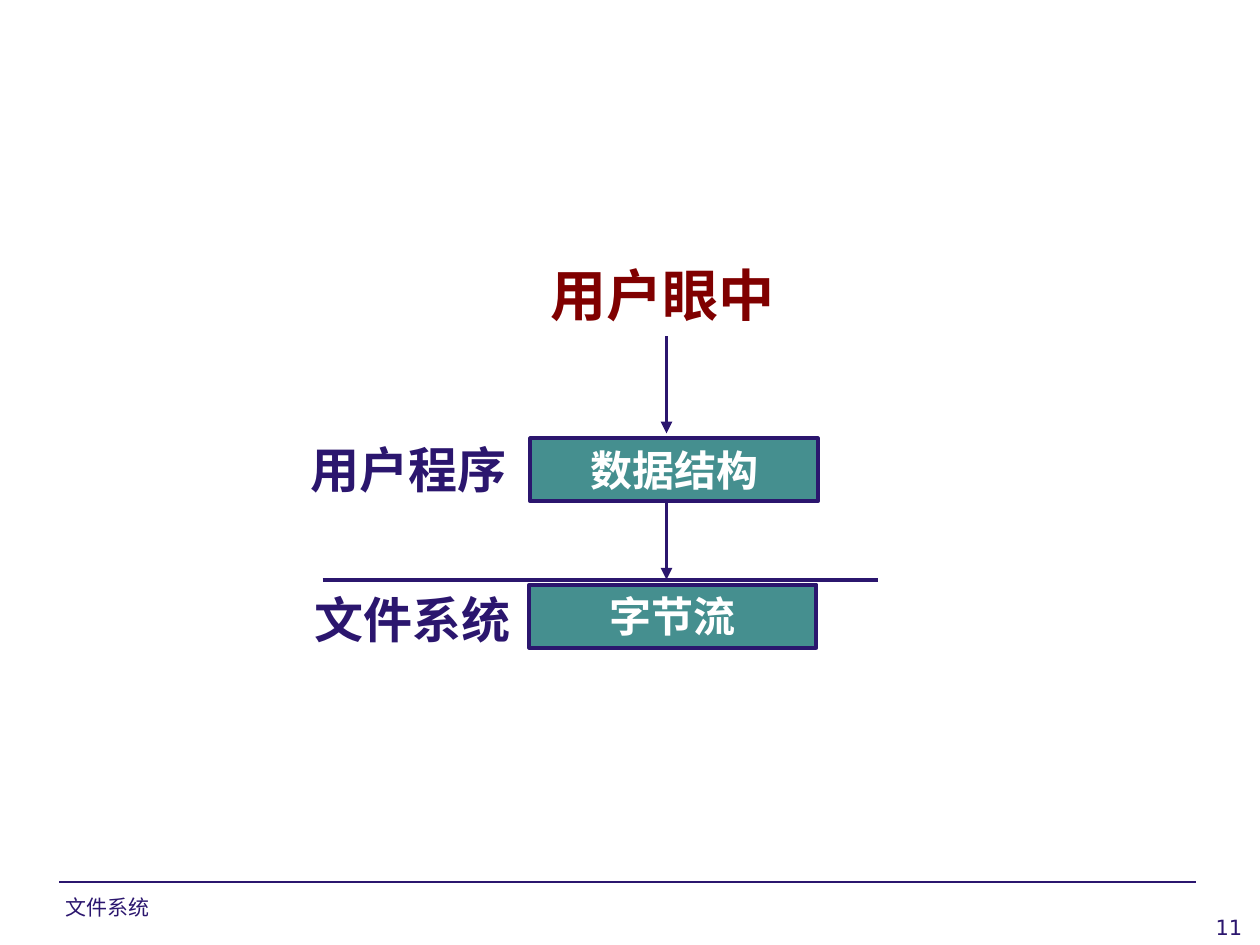
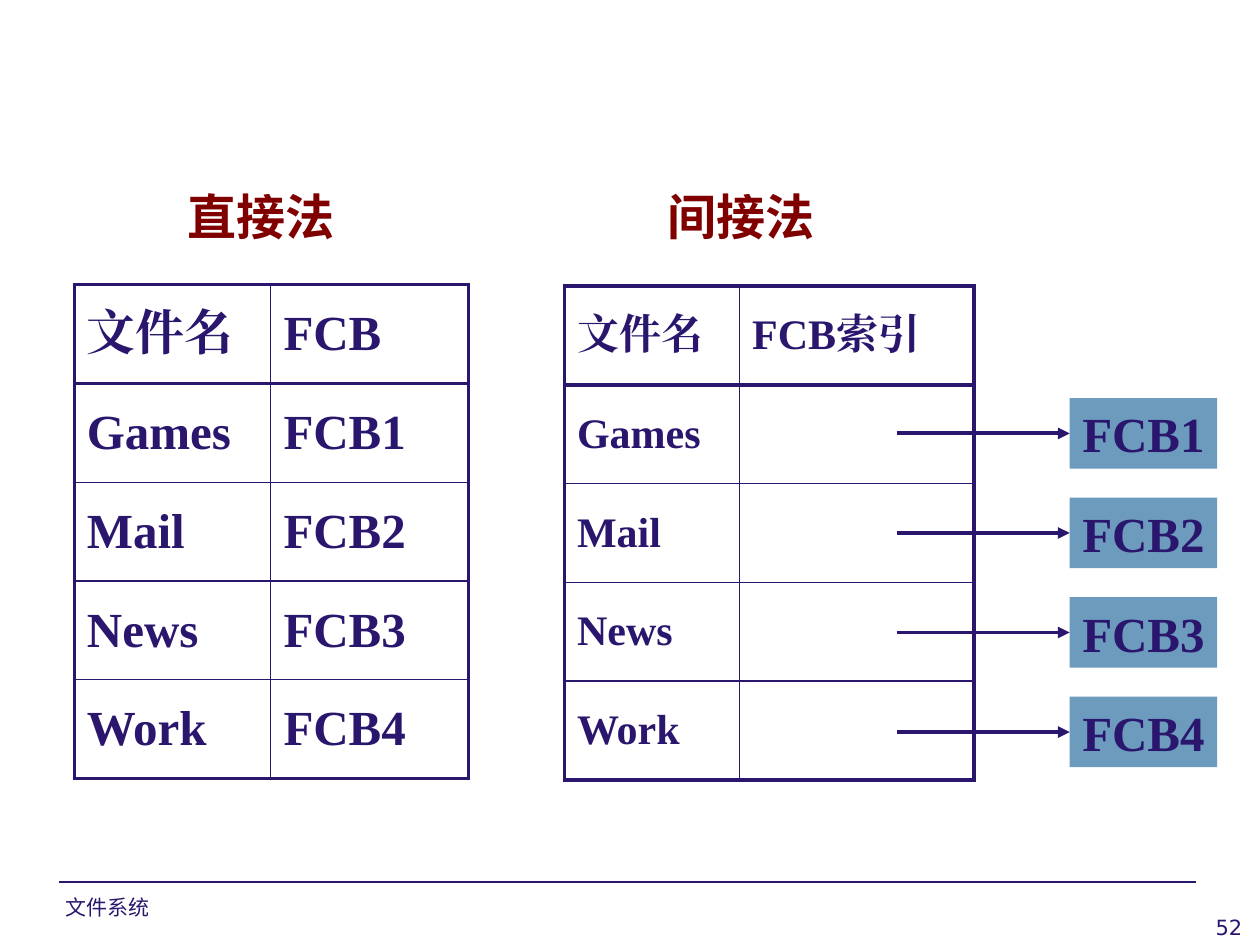
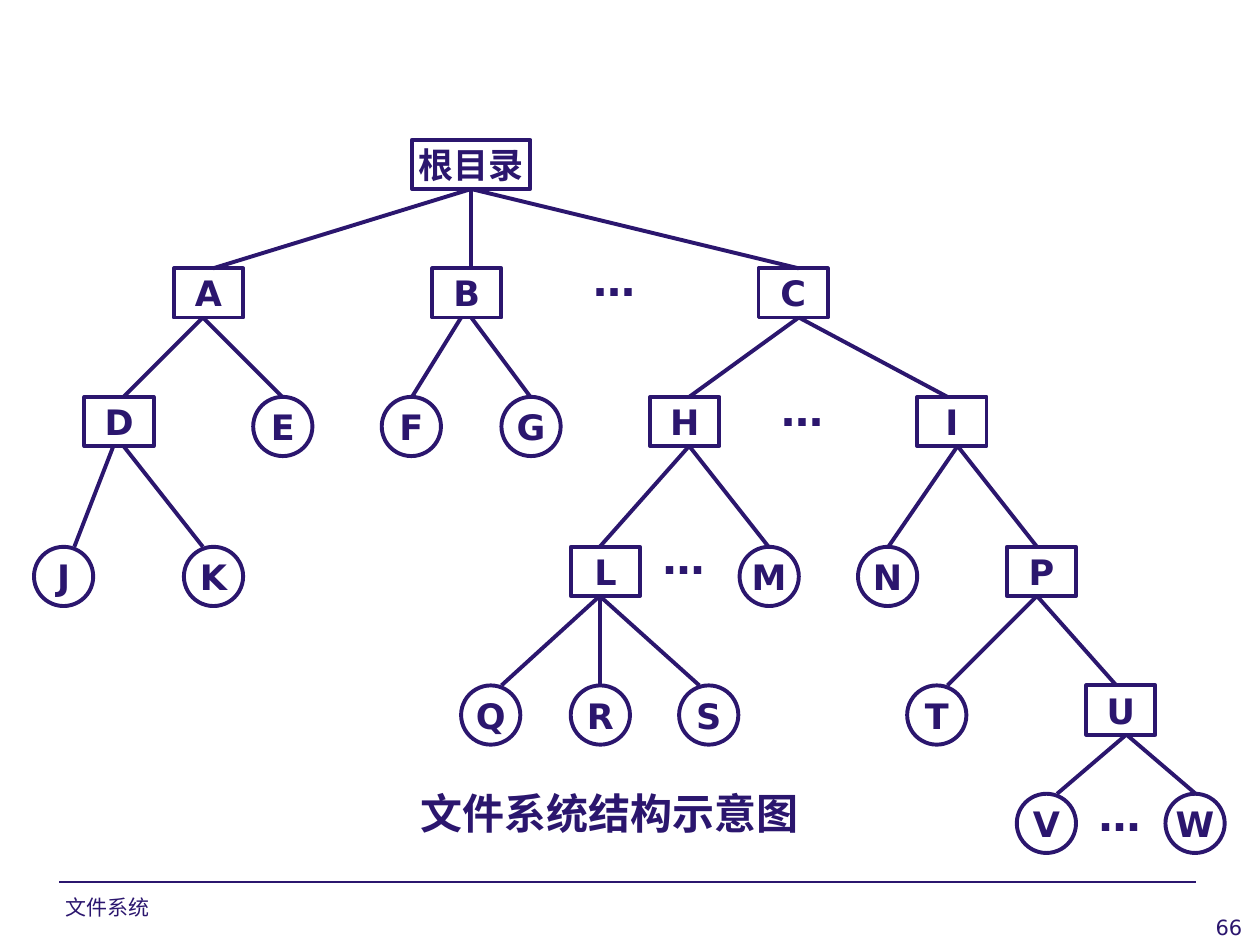
from lxml.etree import SubElement
from pptx import Presentation
from pptx.dml.color import RGBColor
from pptx.enum.shapes import MSO_CONNECTOR as Conn, MSO_SHAPE as Shape
from pptx.enum.text import MSO_ANCHOR as Anchor, PP_ALIGN as Align
from pptx.oxml import parse_xml
from pptx.oxml.ns import nsdecls, qn
from pptx.util import Emu, Pt

# Scale: 100 px to the inch
SCALE = 9144

# Shared look
INK = RGBColor(0x2B, 0x16, 0x6E)
RED = RGBColor(0x80, 0x00, 0x00)
TEAL = RGBColor(0x45, 0x8F, 0x8F)
BLUE = RGBColor(0x6C, 0x9B, 0xBE)
WHITE = RGBColor(0xFF, 0xFF, 0xFF)
HAN = "Noto Sans CJK SC"
SANS = "DejaVu Sans"
SERIF = "Times New Roman"
THICK = 2.25

# Tree: top of level, folders, files, links to the next level (from x, to x)
ROOT_Y = 111
BOX_H = 39
LEVELS = [
    (213, {"A": 138, "B": 343, "C": 602}, {},
     [(161, 98), (161, 224), (366, 327), (374, 421), (634, 547), (634, 752)]),
    (315, {"D": 67, "H": 516, "I": 728}, {"E": 201, "F": 303, "G": 398},
     [(90, 59), (98, 161), (547, 476), (547, 610), (760, 705), (760, 823)]),
    (434, {"L": 453, "P": 799}, {"J": 27, "K": 146, "M": 587, "N": 681},
     [(476, 398), (476, 476), (476, 555), (823, 752), (823, 886)]),
    (544, {"U": 862}, {"Q": 366, "R": 453, "S": 539, "T": 720},
     [(894, 839), (894, 949)]),
    (630, {}, {"V": 807, "W": 925}, []),
]
DOTS = [(461, 197), (610, 300), (516, 418), (862, 622)]


def px(*sizes):
    return [Emu(size * SCALE) for size in sizes]


def style(frame, text, size, font, color=INK, bold=True, align=Align.LEFT):
    frame.text = text
    para = frame.paragraphs[0]
    para.alignment = align
    run = para.runs[0]
    run.font.size = Pt(size)
    run.font.bold = bold
    run.font.color.rgb = color
    run.font.name = font
    SubElement(run._r.get_or_add_rPr(), qn("a:ea"), typeface=font)


def label(slide, text, at, size, font=HAN, **look):
    frame = slide.shapes.add_textbox(*px(*at)).text_frame
    frame.word_wrap = True
    frame.margin_right = 0
    style(frame, text, size, font, **look)


def node(slide, kind, text, at, size, font, fill=None, edge=True, color=INK):
    shape = slide.shapes.add_shape(kind, *px(*at))
    shape.shadow.inherit = False
    if fill is None:
        shape.fill.background()
    else:
        shape.fill.solid()
        shape.fill.fore_color.rgb = fill
    if edge:
        shape.line.color.rgb = INK
        shape.line.width = Pt(THICK)
    else:
        shape.line.fill.background()
    frame = shape.text_frame
    frame.word_wrap = False
    frame.vertical_anchor = Anchor.MIDDLE
    style(frame, text, size, font, color, align=Align.CENTER)
    return shape


def line(slide, ends, width=THICK, arrow=False):
    link = slide.shapes.add_connector(Conn.STRAIGHT, *px(*ends))
    link.line.color.rgb = INK
    link.line.width = Pt(width)
    if arrow:
        SubElement(link.line._get_or_add_ln(), qn("a:tailEnd"), type="triangle")
    SubElement(link._element.spPr, qn("a:effectLst"))
    return link


def border(cell, widths):
    props = cell._tc.get_or_add_tcPr()
    for spot, (side, width) in enumerate(widths.items()):
        props.insert(spot, parse_xml(
            f'<a:ln{side} {nsdecls("a")} w="{Pt(width)}"><a:solidFill>'
            f'<a:srgbClr val="{INK}"/></a:solidFill></a:ln{side}>'))


def grid(slide, left, top, cols, rows, size, thin):
    high = 392
    count = len(rows)
    frame = slide.shapes.add_table(
        count, len(cols), *px(left, top, sum(cols), high))
    table = frame.table
    table.first_row = table.horz_banding = False
    for col, width in zip(table.columns, px(*cols)):
        col.width = width
    for r, row in enumerate(rows):
        table.rows[r].height = Emu(high * SCALE // count)
        for c, text in enumerate(row):
            cell = table.cell(r, c)
            cell.fill.background()
            cell.vertical_anchor = Anchor.MIDDLE
            if text:
                style(cell.text_frame, text, size, SERIF)
            # Outer edges and the rule under the heading are thick
            border(cell, {
                "L": THICK if c == 0 else thin,
                "R": THICK if c == len(cols) - 1 else thin,
                "T": THICK if r in (0, 1) else thin,
                "B": THICK if r in (0, count - 1) else thin})


def page(deck, number):
    slide = deck.slides.add_slide(deck.slide_layouts[6])
    line(slide, (47, 700, 949, 700), 0.75)
    label(slide, "文件系统", (42, 705, 233, 24), 12, "Arial", bold=False)
    label(slide, str(number), (763, 721, 223, 24), 12, SANS,
          bold=False, align=Align.RIGHT)
    return slide


def views(deck):
    slide = page(deck, 11)
    label(slide, "用户眼中", (427, 202, 207, 64), 32, color=RED)
    label(slide, "用户程序", (237, 344, 176, 57), 28)
    label(slide, "文件系统", (240, 463, 176, 57), 28)
    line(slide, (256, 460, 697, 460))
    for text, left, top in (("数据结构", 421, 348), ("字节流", 420, 464)):
        node(slide, Shape.RECTANGLE, text, (left, top, 228, 50), 24, HAN,
             fill=TEAL, color=WHITE)
    for start, end in ((267, 344), (399, 460)):
        line(slide, (529, start, 529, end), arrow=True)


def methods(deck):
    slide = page(deck, 52)
    for text, left in (("直接法", 139), ("间接法", 520)):
        label(slide, text, (left, 143, 137, 57), 28, color=RED)
    files = ["Games", "Mail", "News", "Work"]
    blocks = [f"FCB{i}" for i in range(1, len(files) + 1)]
    grid(slide, 59, 226, (156, 157),
         [("文件名", "FCB"), *zip(files, blocks)], 28, 0.75)
    grid(slide, 448, 227, (139, 186),
         [("文件名", "FCB索引"), *((name, "") for name in files)], 24, 1)
    # Each index entry points to its block
    for i, text in enumerate(blocks):
        top = 316 + 79 * i
        mid = top + 28
        block = node(slide, Shape.RECTANGLE, text, (849, top, 117, 56), 28,
                     SERIF, fill=BLUE, edge=False)
        link = line(slide, (712, mid, 849, mid), arrow=True)
        link.end_connect(block, 1)


def tree(deck):
    slide = page(deck, 66)
    root = node(slide, Shape.RECTANGLE, "根目录",
                (327, ROOT_Y, 94, BOX_H), 20, SANS)
    for end in (169, 374, 634):
        link = line(slide, (374, ROOT_Y + BOX_H, end, LEVELS[0][0]))
        link.begin_connect(root, 2)
    for i, (top, dirs, files, links) in enumerate(LEVELS):
        for name, left in dirs.items():
            node(slide, Shape.RECTANGLE, name, (left, top, 55, BOX_H), 20, SANS)
        for name, left in files.items():
            node(slide, Shape.OVAL, name, (left, top, 47, 47), 20, SANS)
        for start, end in links:
            line(slide, (start, top + BOX_H, end, LEVELS[i + 1][0]))
    for left, top in DOTS:
        label(slide, "…", (left, top, 55, 50), 24, SANS)
    label(slide, "文件系统结构示意图", (324, 620, 322, 50), 24)


def main():
    deck = Presentation()
    deck.slide_width, deck.slide_height = px(1000, 750)
    views(deck)
    methods(deck)
    tree(deck)
    deck.save("out.pptx")


if __name__ == "__main__":
    main()
